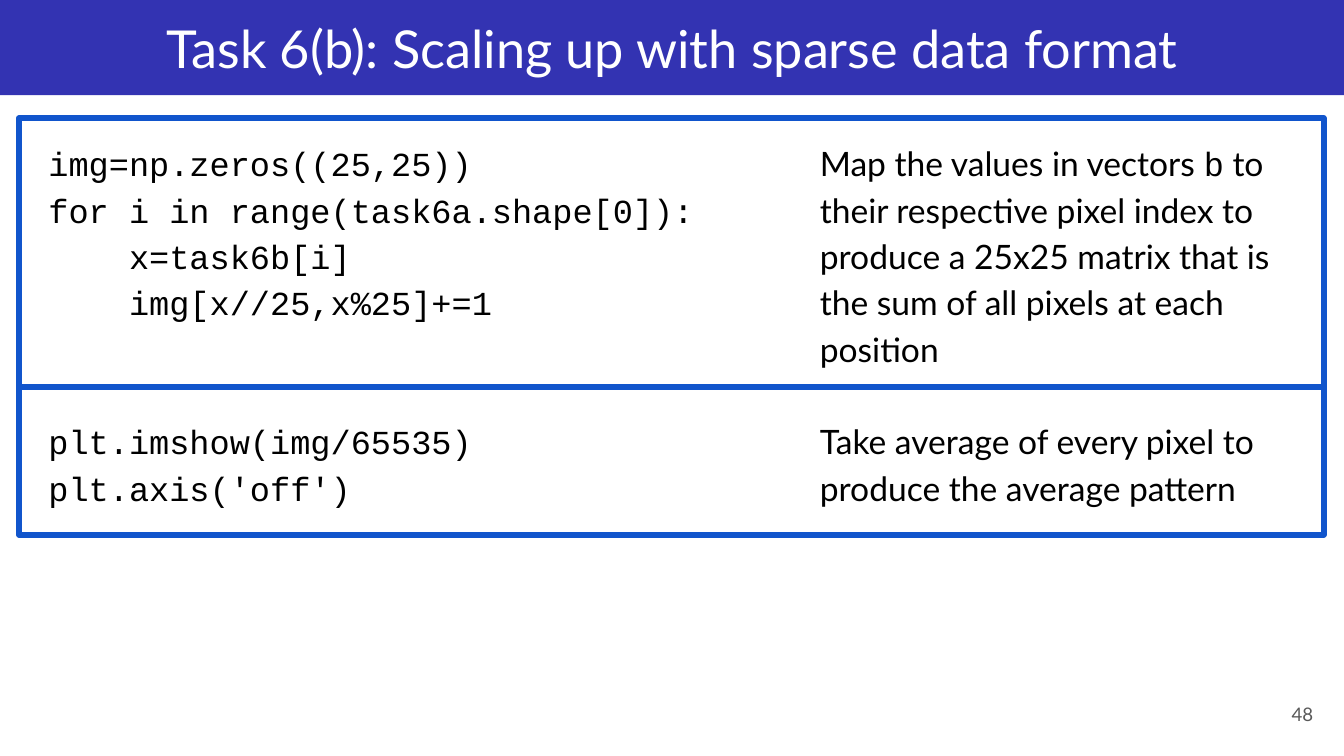
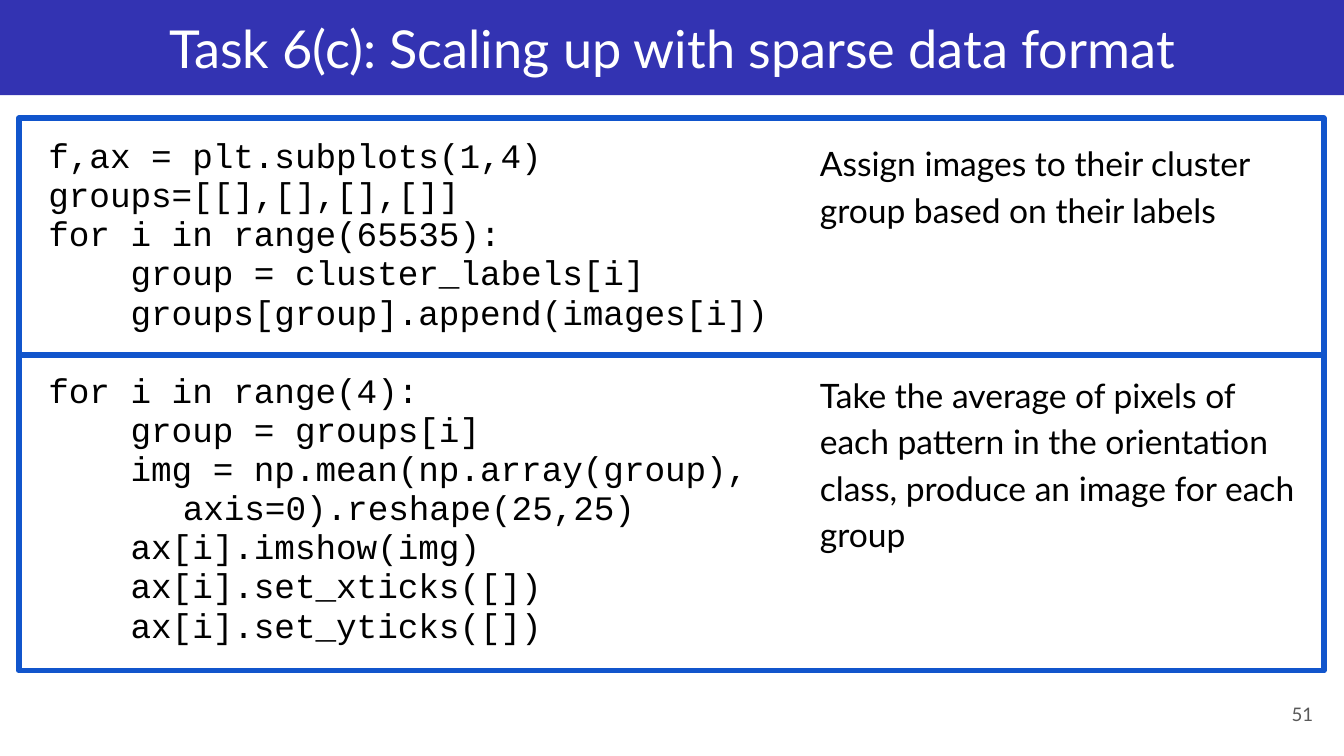
from pptx import Presentation
from pptx.dml.color import RGBColor
from pptx.enum.shapes import MSO_SHAPE
from pptx.enum.text import MSO_ANCHOR, MSO_AUTO_SIZE, PP_ALIGN
from pptx.oxml.ns import qn
from pptx.util import Pt

COLORS = {"band": "3333B2", "frame": "1155CC", "title": "FFFFFF",
          "text": "000000", "number": "595959"}
TEXT_FONT, CODE_FONT = "Lato", "Courier New"
WRAPPED_CODE = "axis=0).reshape(25,25)"
FRAME_LEFT, FRAME_TOP, FRAME_WIDTH = 10.08, 63.36, 699.12
CODE_BOX = (18.72, 66.24, 413.28, 293)
NOTE_BOX = (432, 66.24, 278.64, 293)

# Each column is a list of blocks; "gap" is the space above the second block.
SLIDES = [
    {
        "title": "Task 6(b): Scaling up with sparse data format",
        "number": "48",
        "frames": [144, 79.2],
        "code": {
            "size": 18, "spacing": 1.15, "gap": 49.7,
            "blocks": [
                ["img=np.zeros((25,25))",
                 "for i in range(task6a.shape[0]):",
                 "    x=task6b[i]",
                 "    img[x//25,x%25]+=1"],
                ["plt.imshow(img/65535)",
                 "plt.axis('off')"],
            ],
        },
        "notes": {
            "size": 18, "spacing": 1.15, "gap": 24.85,
            "blocks": [
                ["Map the values in vectors `b` to their respective pixel index to "
                 "produce a 25x25 matrix that is the sum of all pixels at each position"],
                ["Take average of every pixel to produce the average pattern"],
            ],
        },
    },
    {
        "title": "Task 6(c): Scaling up with sparse data format",
        "number": "51",
        "frames": [126.72, 169.2],
        "code": {
            "size": 18.4, "spacing": 0.95, "gap": 20.9,
            "blocks": [
                ["f,ax = plt.subplots(1,4)",
                 "groups=[[],[],[],[]]",
                 "for i in range(65535):",
                 "    group = cluster_labels[i]",
                 "    groups[group].append(images[i])"],
                ["for i in range(4):",
                 "    group = groups[i]",
                 "    img = np.mean(np.array(group),",
                 WRAPPED_CODE,
                 "    ax[i].imshow(img)",
                 "    ax[i].set_xticks([])",
                 "    ax[i].set_yticks([])"],
            ],
        },
        "notes": {
            "size": 18, "spacing": 1.15, "gap": 74.55,
            "blocks": [
                ["Assign images to their cluster group based on their labels"],
                ["Take the average of pixels of each pattern in the orientation "
                 "class, produce an image for each group"],
            ],
        },
    },
]


def prepare(sp, box, anchor):
    """Place a text shape, set its margins and return its text frame."""
    for name, value in zip(("left", "top", "width", "height"), box):
        setattr(sp, name, Pt(value))
    tf = sp.text_frame
    settings = {"word_wrap": True, "auto_size": MSO_AUTO_SIZE.NONE, "vertical_anchor": anchor}
    settings.update({f"margin_{side}": Pt(7.2) for side in ("left", "top", "right", "bottom")})
    for name, value in settings.items():
        setattr(tf, name, value)
    return tf


def write(p, text, font, size, color, align=PP_ALIGN.LEFT, spacing=1.0, before=0, indent=0):
    """Fill a paragraph; words between backticks are set in the code font."""
    pPr = p._p.get_or_add_pPr()
    for name in ("marL", "indent"):
        pPr.set(name, str(Pt(indent)))
    pPr.append(pPr.makeelement(qn("a:buNone"), {}))
    settings = {"alignment": align, "line_spacing": spacing,
                "space_before": Pt(before), "space_after": Pt(0)}
    for name, value in settings.items():
        setattr(p, name, value)
    for i, part in enumerate(text.split("`")):
        r = p.add_run()
        r.text = part
        r.font.name = CODE_FONT if i % 2 else font
        r.font.size = Pt(size)
        r.font.color.rgb = RGBColor.from_string(COLORS[color])


prs = Presentation()
prs.slide_width, prs.slide_height = Pt(720), Pt(405)
two_columns = prs.slide_layouts[3]

for content in SLIDES:
    s = prs.slides.add_slide(two_columns)
    title, code, notes = s.placeholders

    title.fill.solid()
    title.fill.fore_color.rgb = RGBColor.from_string(COLORS["band"])
    tf = prepare(title, (0, 0, 720, 51), MSO_ANCHOR.MIDDLE)
    write(tf.paragraphs[0], content["title"], TEXT_FONT, 28, "title", PP_ALIGN.CENTER)

    number = s.shapes.add_textbox(0, 0, 0, 0)
    tf = prepare(number, (667.44, 367.2, 43.2, 31), MSO_ANCHOR.MIDDLE)
    write(tf.paragraphs[0], content["number"], TEXT_FONT, 10, "number", PP_ALIGN.RIGHT)

    for sp, box, font, column in ((code, CODE_BOX, CODE_FONT, content["code"]),
                                  (notes, NOTE_BOX, TEXT_FONT, content["notes"])):
        tf = prepare(sp, box, MSO_ANCHOR.TOP)
        p = tf.paragraphs[0]
        for b, block in enumerate(column["blocks"]):
            for n, line in enumerate(block):
                if b or n:
                    p = tf.add_paragraph()
                write(p, line, font, column["size"], "text", spacing=column["spacing"],
                      before=column["gap"] if b and n == 0 else 0,
                      indent=36 if line == WRAPPED_CODE else 0)

    top = FRAME_TOP
    for height in content["frames"]:
        frame = s.shapes.add_shape(MSO_SHAPE.RECTANGLE, Pt(FRAME_LEFT), Pt(top),
                                   Pt(FRAME_WIDTH), Pt(height))
        frame.shadow.inherit = False
        frame.fill.background()
        frame.line.color.rgb = RGBColor.from_string(COLORS["frame"])
        frame.line.width = Pt(3)
        top += height

prs.save("out.pptx")
